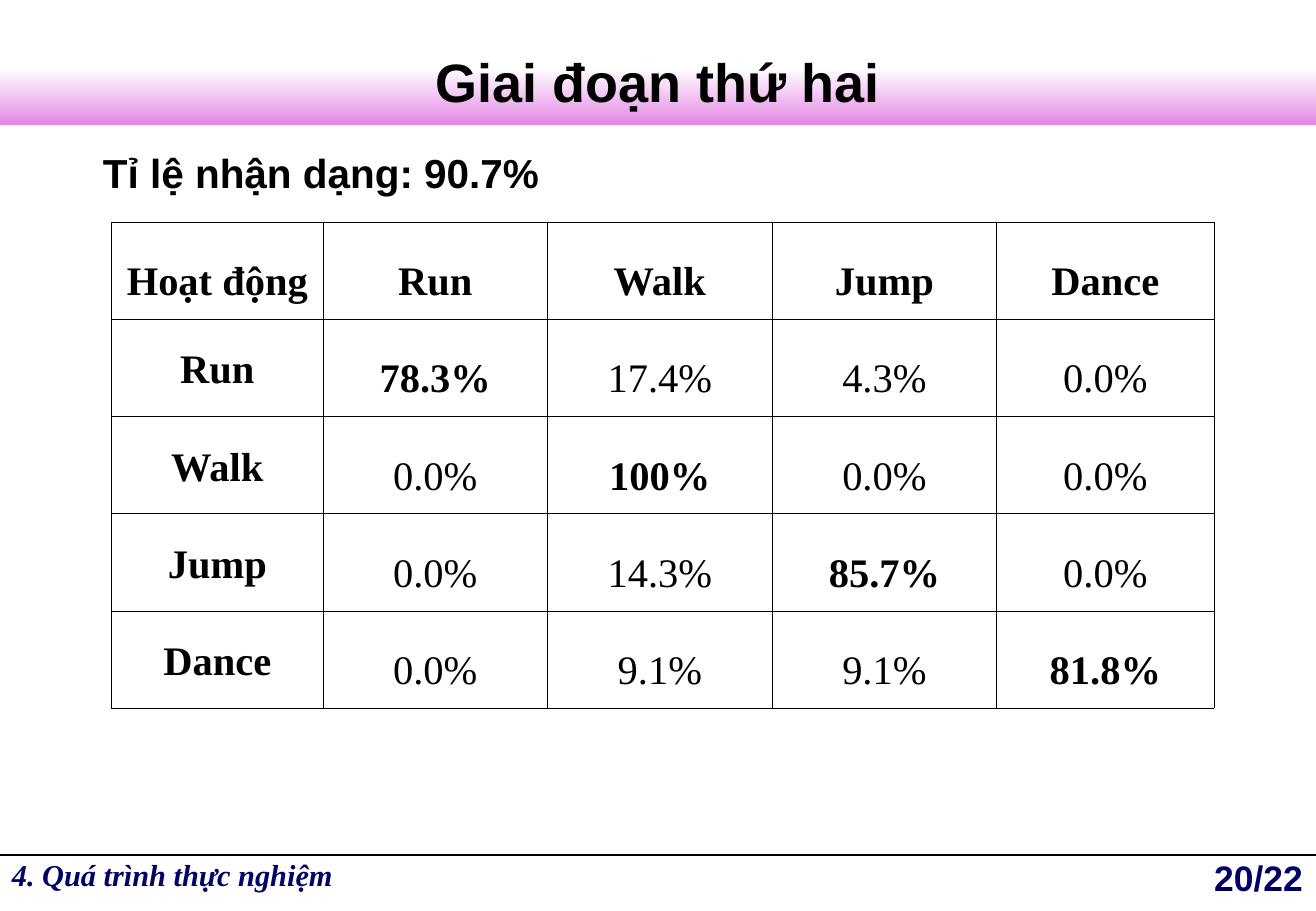
from dataclasses import dataclass

from lxml.etree import SubElement
from pptx import Presentation
from pptx.dml.color import RGBColor
from pptx.enum.shapes import MSO_CONNECTOR, MSO_SHAPE
from pptx.enum.text import MSO_ANCHOR, PP_ALIGN
from pptx.oxml.ns import qn
from pptx.util import Inches, Pt


@dataclass(frozen=True)
class Theme:
    """Hold the colours, fonts and type sizes of the slide."""
    black: RGBColor = RGBColor(0x00, 0x00, 0x00)
    white: RGBColor = RGBColor(0xFF, 0xFF, 0xFF)
    pink: RGBColor = RGBColor(0xE3, 0x88, 0xE3)
    navy: RGBColor = RGBColor(0x00, 0x00, 0x66)
    sans: str = "Arial"
    serif: str = "Times New Roman"
    title_size: Pt = Pt(32)
    text_size: Pt = Pt(24)
    number_size: Pt = Pt(21)
    section_size: Pt = Pt(18)
    rule_width: Pt = Pt(1)
    border_width: Pt = Pt(0.45)


THEME = Theme()
SLIDE_WIDTH = Inches(10.84)
ACTIVITIES = ("Run", "Walk", "Jump", "Dance")
RATES = (
    ("78.3%", "17.4%", "4.3%", "0.0%"),
    ("0.0%", "100%", "0.0%", "0.0%"),
    ("0.0%", "14.3%", "85.7%", "0.0%"),
    ("0.0%", "9.1%", "9.1%", "81.8%"),
)
COLUMN_WIDTHS = (1.74, 1.85, 1.85, 1.85, 1.79)
ROW_HEIGHT = 0.8


def set_attributes(target, values):
    """Set each attribute of the target from a dict."""
    for name, value in values.items():
        setattr(target, name, value)


def write_text(frame, text, color, alignment=PP_ALIGN.LEFT, **font_values):
    """Write one formatted paragraph into a text frame."""
    paragraph = frame.paragraphs[0]
    paragraph.alignment = alignment
    run = paragraph.add_run()
    run.text = text
    set_attributes(run.font, font_values)
    run.font.color.rgb = color
    return paragraph


def add_label(slide, box, text, color, **format_values):
    """Add a wrapping text box with one paragraph."""
    frame = slide.shapes.add_textbox(*map(Inches, box)).text_frame
    frame.word_wrap = True
    write_text(frame, text, color, **format_values)


def add_title(slide, text):
    """Place and format the title placeholder."""
    title = slide.shapes.title
    set_attributes(title, {"left": 0, "top": Inches(0.21),
                           "width": SLIDE_WIDTH, "height": Inches(0.92)})
    title.text_frame.vertical_anchor = MSO_ANCHOR.MIDDLE
    write_text(title.text_frame, text, THEME.black, PP_ALIGN.CENTER,
               name=THEME.sans, size=THEME.title_size, bold=True)


def add_title_band(slide):
    """Add the gradient band behind the title."""
    band = slide.shapes.add_shape(
        MSO_SHAPE.RECTANGLE, 0, Inches(0.56), SLIDE_WIDTH, Inches(0.47))
    band.shadow.inherit = False
    band.line.fill.background()
    band.fill.gradient()
    band.fill.gradient_angle = 270
    for stop, color in zip(band.fill.gradient_stops, (THEME.white, THEME.pink)):
        stop.color.rgb = color
    slide.shapes.title._element.addprevious(band._element)


def add_footer_rule(slide):
    """Add the line above the footer."""
    top = Inches(7.04)
    rule = slide.shapes.add_connector(
        MSO_CONNECTOR.STRAIGHT, 0, top, SLIDE_WIDTH, top)
    rule.line.color.rgb = THEME.black
    rule.line.width = THEME.rule_width
    SubElement(rule._element.spPr, qn("a:effectLst"))


def add_borders(cell):
    """Draw a thin line on each side of a cell."""
    properties = cell._tc.get_or_add_tcPr()
    for side in ("a:lnL", "a:lnR", "a:lnT", "a:lnB"):
        border = SubElement(properties, qn(side), w=str(int(THEME.border_width)))
        fill = SubElement(border, qn("a:solidFill"))
        SubElement(fill, qn("a:srgbClr"), val=str(THEME.black))


def fill_cell(cell, text, bold, anchor):
    """Format one table cell and write its text."""
    add_borders(cell)
    cell.fill.background()
    set_attributes(cell, {
        "vertical_anchor": anchor,
        "margin_left": Inches(0.08), "margin_right": Inches(0.08),
        "margin_top": Inches(0.05), "margin_bottom": Inches(0.05)})
    paragraph = write_text(cell.text_frame, text, THEME.black, PP_ALIGN.CENTER,
                           name=THEME.serif, size=THEME.text_size, bold=bold)
    paragraph.line_spacing = 1.5


def add_rate_table(slide):
    """Add the recognition rates of each activity."""
    rows = [("Hoạt động", *ACTIVITIES)]
    rows += [(activity, *rates) for activity, rates in zip(ACTIVITIES, RATES)]
    table = slide.shapes.add_table(
        len(rows), len(COLUMN_WIDTHS), Inches(0.92), Inches(1.83),
        Inches(sum(COLUMN_WIDTHS)), Inches(ROW_HEIGHT * len(rows))).table
    set_attributes(table, {"first_row": False, "horz_banding": False})
    for column, width in zip(table.columns, COLUMN_WIDTHS):
        column.width = Inches(width)
    for row_index, row in enumerate(rows):
        table.rows[row_index].height = Inches(ROW_HEIGHT)
        for column_index, text in enumerate(row):
            is_row_label = column_index == 0 and row_index > 0
            bold = 0 in (row_index, column_index) or row_index == column_index
            anchor = MSO_ANCHOR.TOP if is_row_label else MSO_ANCHOR.MIDDLE
            fill_cell(table.cell(row_index, column_index), text, bold, anchor)


def main():
    """Build and save the slide."""
    presentation = Presentation()
    set_attributes(presentation, {"slide_width": SLIDE_WIDTH,
                                  "slide_height": Inches(7.5)})
    slide = presentation.slides.add_slide(presentation.slide_layouts[5])
    add_title(slide, "Giai đoạn thứ hai")
    add_title_band(slide)
    add_footer_rule(slide)
    add_label(slide, (9.57, 7, 1.26, 0.42), "20/22", THEME.navy,
              alignment=PP_ALIGN.RIGHT, name=THEME.sans,
              size=THEME.number_size, bold=True)
    add_label(slide, (0, 7, 3.5, 0.42), "4. Quá trình thực nghiệm", THEME.navy,
              name=THEME.serif, size=THEME.section_size, bold=True, italic=True)
    add_rate_table(slide)
    add_label(slide, (0.75, 1.17, 9.25, 0.5), "Tỉ lệ nhận dạng: 90.7%",
              THEME.black, name=THEME.sans, size=THEME.text_size, bold=True)
    presentation.save("out.pptx")


if __name__ == "__main__":
    main()
